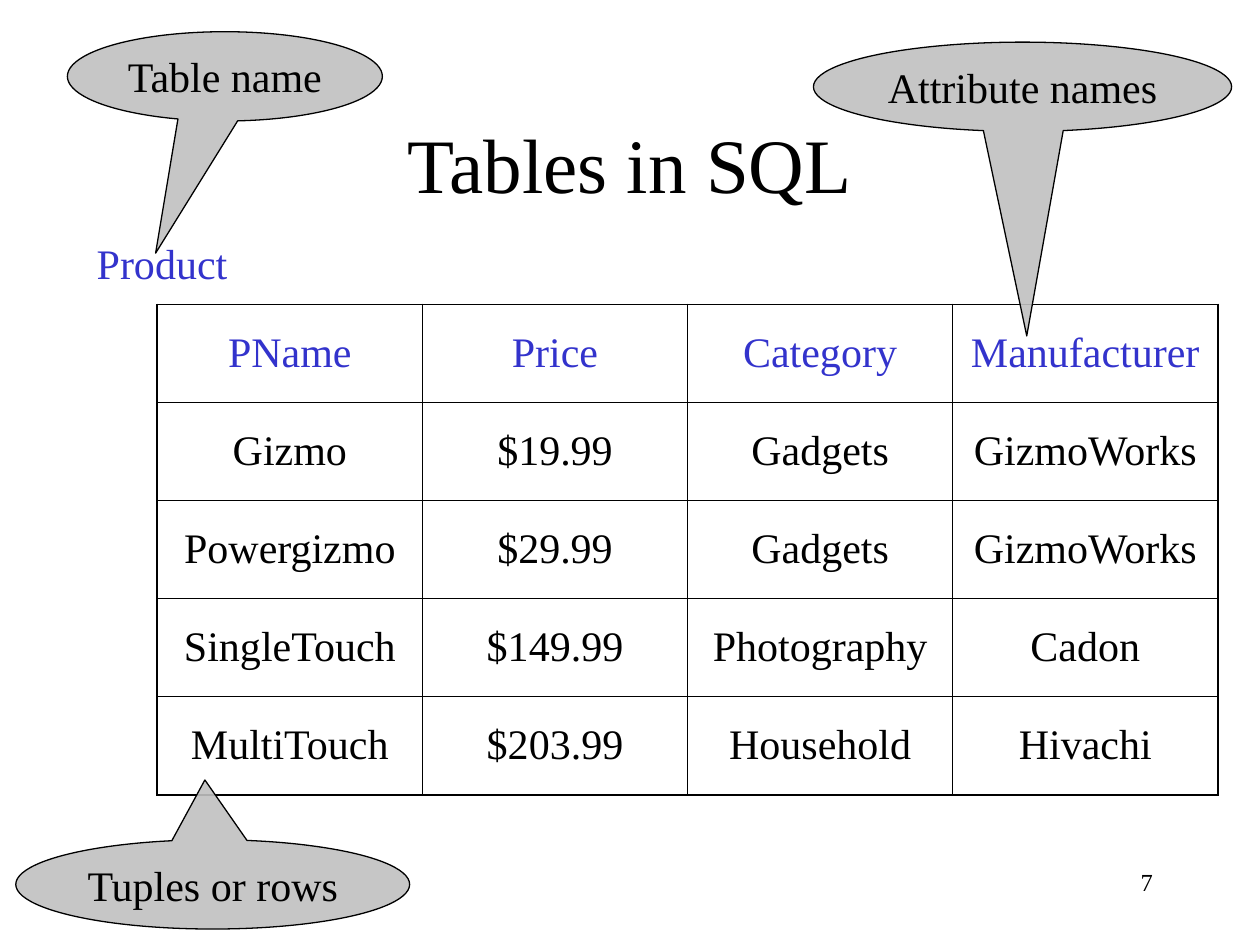
"""Build a slide that names the parts of an SQL table."""
from lxml import etree
from pptx import Presentation
from pptx import util as u
from pptx.dml.color import RGBColor
from pptx.enum import shapes, text
from pptx.oxml import ns

BLACK = RGBColor(0, 0, 0)
BLUE = RGBColor(0x33, 0x33, 0xCC)
GREY = RGBColor(0xC0, 0xC0, 0xC0)
LEFT, MID, RIGHT = text.PP_ALIGN.LEFT, text.PP_ALIGN.CENTER, text.PP_ALIGN.RIGHT
TOP, CORE = text.MSO_ANCHOR.TOP, text.MSO_ANCHOR.MIDDLE


def write(frame, words, size=24, color=BLACK, align=MID, space=0):
    par = frame.paragraphs[0]
    run = par.add_run()
    run.text = words
    form = {"alignment": align, "space_before": u.Pt(space)}
    for key, val in form.items():
        setattr(par, key, val)
    face = {"name": "Times New Roman", "size": u.Pt(size)}
    for key, val in face.items():
        setattr(run.font, key, val)
    run.font.color.rgb = color


def edge(cell, side, width):
    line = etree.SubElement(cell._tc.get_or_add_tcPr(), ns.qn("a:ln" + side), w=str(u.Pt(width)))
    fill = etree.SubElement(line, ns.qn("a:solidFill"))
    etree.SubElement(fill, ns.qn("a:srgbClr"), val=str(BLACK))


deck = Presentation()
deck.slide_width, deck.slide_height = u.Cm(25.4), u.Cm(19.05)
slide = deck.slides.add_slide(deck.slide_layouts[6])

labels = [
    ("7", (18.21, 17.35, 5.28, 1.27), 14, BLACK, RIGHT, TOP),
    ("Tables in SQL", (1.9, 1.7, 21.6, 3.18), 44, BLACK, MID, CORE),
    ("Product", (1.7, 4.66, 3.3, 1.27), 24, BLUE, LEFT, TOP),
]
for words, place, size, color, align, anchor in labels:
    box = slide.shapes.add_textbox(*map(u.Cm, place))
    box.text_frame.word_wrap = True
    box.text_frame.vertical_anchor = anchor
    write(box.text_frame, words, size, color, align)

rows = [
    ("PName", "Price", "Category", "Manufacturer"),
    ("Gizmo", "$19.99", "Gadgets", "GizmoWorks"),
    ("Powergizmo", "$29.99", "Gadgets", "GizmoWorks"),
    ("SingleTouch", "$149.99", "Photography", "Cadon"),
    ("MultiTouch", "$203.99", "Household", "Hivachi"),
]
high, wide = len(rows), len(rows[0])
place = (3.17, 6.14, 21.38, 9.88)
grid = slide.shapes.add_table(high, wide, *map(u.Cm, place)).table
grid.first_row = grid.horz_banding = False
for r, row in enumerate(rows):
    for c, words in enumerate(row):
        cell = grid.cell(r, c)
        cell.vertical_anchor = CORE
        thick = {"L": c == 0, "R": c == wide - 1, "T": r < 2, "B": r in (0, high - 1)}
        for side, bold in thick.items():
            edge(cell, side, 1.08 if bold else 0.45)
        cell.fill.background()
        write(cell.text_frame, words, color=BLACK if r else BLUE, space=6)

notes = [
    ("Attribute names", (16.4, 0.85, 8.43, 1.8), (0.006, 2.79)),
    ("Table name", (1.36, 0.64, 6.35, 1.8), (-0.22, 1.98)),
    ("Tuples or rows", (0.32, 16.93, 7.94, 1.8), (-0.02, -1.17)),
]
for words, place, tip in notes:
    note = slide.shapes.add_shape(shapes.MSO_SHAPE.OVAL_CALLOUT, *map(u.Cm, place))
    note.adjustments[0], note.adjustments[1] = [round(part, 2) for part in tip]
    note.shadow.inherit = False
    note.fill.solid()
    note.fill.fore_color.rgb = GREY
    tint = note.fill._xPr.find(".//" + ns.qn("a:srgbClr"))
    etree.SubElement(tint, ns.qn("a:alpha"), val="90000")
    note.line.color.rgb = BLACK
    note.line.width = u.Pt(0.75)
    note.text_frame.word_wrap = False
    note.text_frame.vertical_anchor = TOP
    write(note.text_frame, words)

deck.save("out.pptx")
